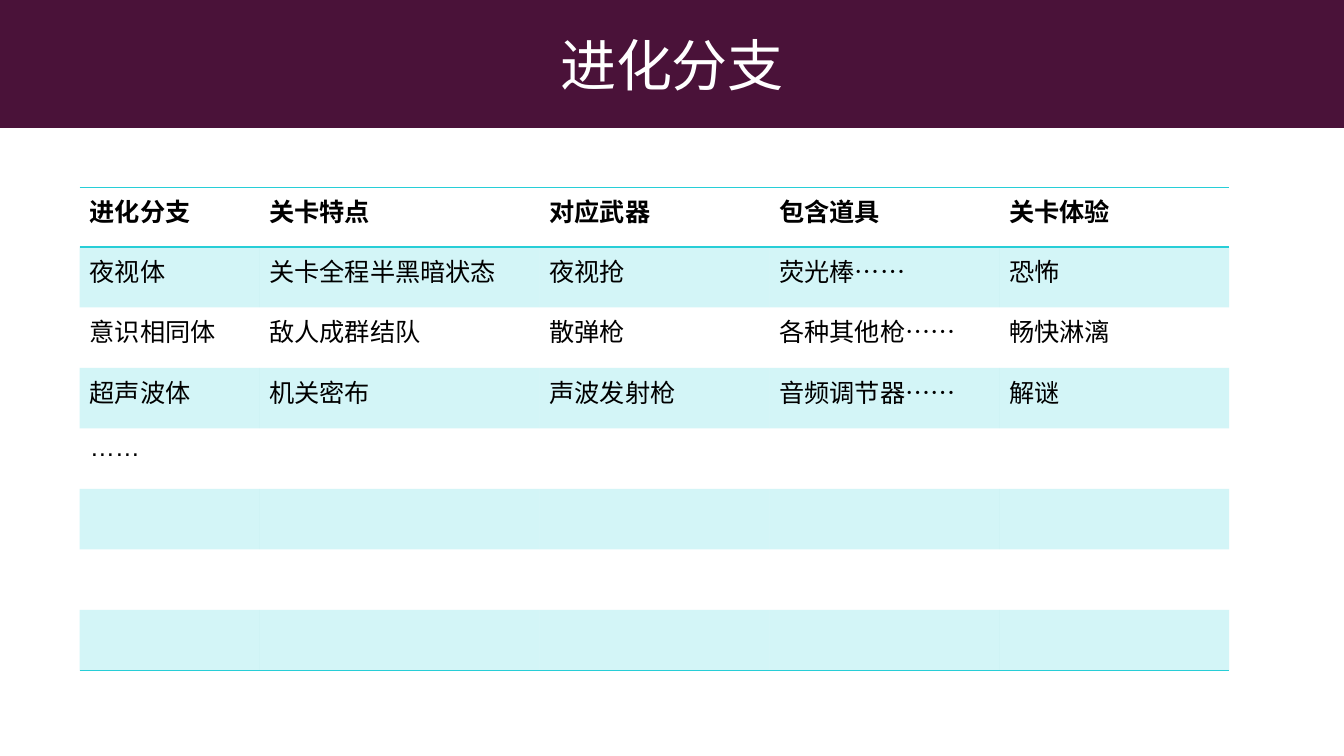
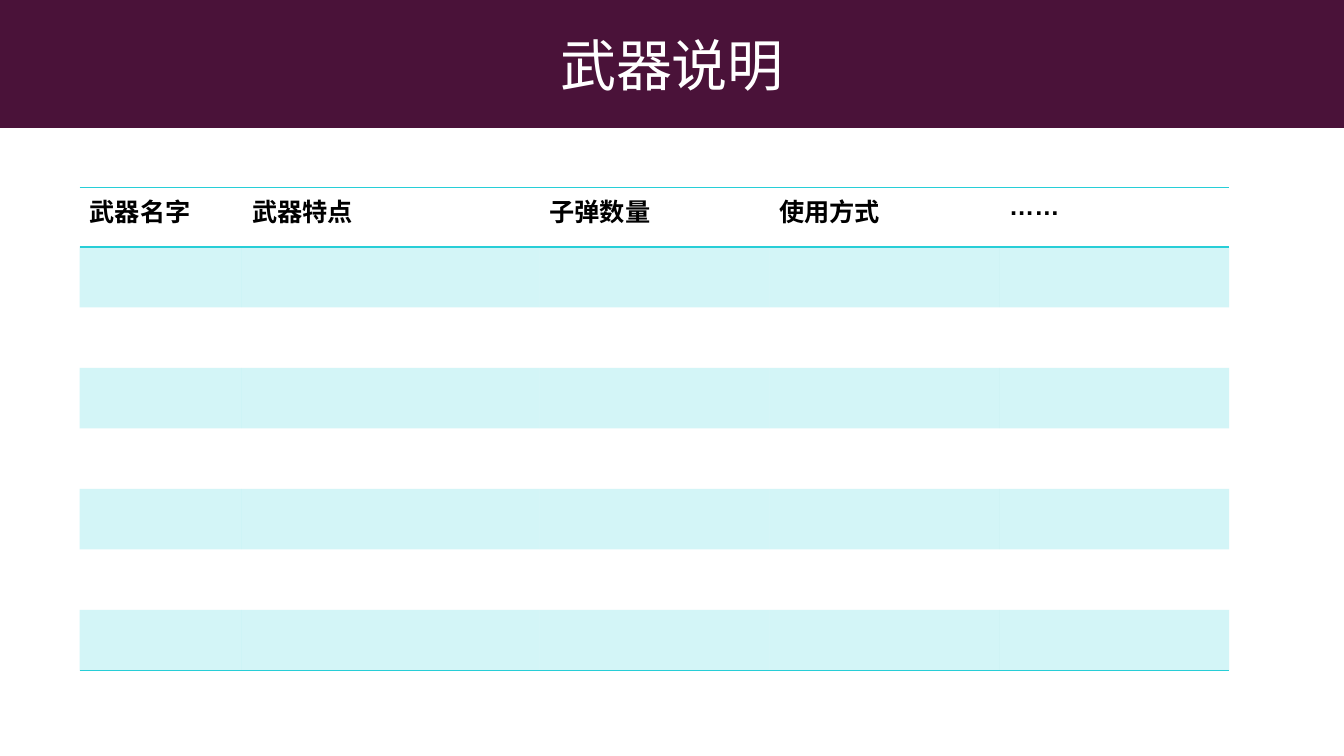
from dataclasses import dataclass

from lxml import etree
from pptx import Presentation
from pptx.dml.color import RGBColor
from pptx.enum.text import MSO_ANCHOR, PP_ALIGN
from pptx.oxml.ns import qn
from pptx.presentation import Presentation as Deck
from pptx.slide import Slide
from pptx.table import _Cell as Cell
from pptx.text.text import TextFrame
from pptx.util import Inches, Pt

CENTER = PP_ALIGN.CENTER
MIDDLE = MSO_ANCHOR.MIDDLE

PLUM = RGBColor(0x4A, 0x12, 0x39)
TEAL = RGBColor(0x27, 0xCE, 0xD7)
WHITE = RGBColor(0xFF, 0xFF, 0xFF)
BLACK = RGBColor(0x00, 0x00, 0x00)
FONT = "Arial"
TINT = 20  # band opacity, percent
PLAIN = "{2D5ABB26-0587-4C30-8999-92F81FD0307C}"  # no style, no grid

# Slide and grid, in inches
WIDE, HIGH = 13.33, 7.5
BAND = 1.27
LEFT, TOP = 0.79, 1.86
ROWS, COLS = 8, 5
COL = 2.28
HEAD, ROW = 0.59, 0.6


@dataclass(frozen=True)
class Page:
    title: str
    lead: float  # width of the first column; the second takes the rest of two
    rows: tuple[tuple[str, ...], ...]


PAGES = (
    Page("进化分支", 1.78, (
        ("进化分支", "关卡特点", "对应武器", "包含道具", "关卡体验"),
        ("夜视体", "关卡全程半黑暗状态", "夜视抢", "荧光棒……", "恐怖"),
        ("意识相同体", "敌人成群结队", "散弹枪", "各种其他枪……", "畅快淋漓"),
        ("超声波体", "机关密布", "声波发射枪", "音频调节器……", "解谜"),
        ("……",),
    )),
    Page("武器说明", 1.61, (
        ("武器名字", "武器特点", "子弹数量", "使用方式", "……"),
    )),
)


def write(frame: TextFrame, text: str, size: int, color: RGBColor,
          bold: bool = False) -> None:
    run = frame.paragraphs[0].add_run()
    run.text = text
    font = run.font
    font.name, font.size, font.bold = FONT, Pt(size), bold
    font.color.rgb = color


def add_title(slide: Slide, text: str) -> None:
    title = slide.shapes.title
    title.left, title.top = 0, 0
    title.width, title.height = Inches(WIDE), Inches(BAND)
    title.fill.solid()
    title.fill.fore_color.rgb = PLUM
    frame = title.text_frame
    frame.vertical_anchor = MIDDLE
    frame.paragraphs[0].alignment = CENTER
    write(frame, text, 40, WHITE)


def rule(cell: Cell, sides: str) -> None:
    """Draw teal lines on the named sides and clear the others."""
    props = cell._tc.get_or_add_tcPr()
    for side in "LRTB":
        line = etree.SubElement(props, qn(f"a:ln{side}"), w=str(Pt(1)))
        if side in sides:
            fill = etree.SubElement(line, qn("a:solidFill"))
            etree.SubElement(fill, qn("a:srgbClr"), val=str(TEAL))
        else:
            etree.SubElement(line, qn("a:noFill"))


def shade(cell: Cell, band: bool) -> None:
    if not band:
        cell.fill.background()
        return
    cell.fill.solid()
    cell.fill.fore_color.rgb = TEAL
    color = cell._tc.tcPr.find(qn("a:solidFill"))[0]
    etree.SubElement(color, qn("a:alpha"), val=str(TINT * 1000))


def add_grid(slide: Slide, page: Page) -> None:
    table = slide.shapes.add_table(
        ROWS, COLS, Inches(LEFT), Inches(TOP),
        Inches(COLS * COL), Inches(HEAD + (ROWS - 1) * ROW)).table
    table.first_row = table.horz_banding = False
    table._tbl.tblPr.find(qn("a:tableStyleId")).text = PLAIN

    # Column and row sizes
    widths = [page.lead, 2 * COL - page.lead] + [COL] * (COLS - 2)
    for col, width in zip(table.columns, widths):
        col.width = Inches(width)
    for r, row in enumerate(table.rows):
        row.height = Inches(ROW if r else HEAD)

        # Lines and bands
        sides = {0: "TB", 1: "T", ROWS - 1: "B"}.get(r, "")
        for cell in row.cells:
            rule(cell, sides)
            shade(cell, r % 2 == 1)

    # Words
    for r, words in enumerate(page.rows):
        for c, text in enumerate(words):
            write(table.cell(r, c).text_frame, text, 18, BLACK, r == 0)


def add_page(deck: Deck, page: Page) -> None:
    slide = deck.slides.add_slide(deck.slide_layouts.get_by_name("Title Only"))
    add_title(slide, page.title)
    add_grid(slide, page)


def main() -> None:
    deck = Presentation()
    deck.slide_width, deck.slide_height = Inches(WIDE), Inches(HIGH)
    for page in PAGES:
        add_page(deck, page)
    deck.save("out.pptx")


if __name__ == "__main__":
    main()
